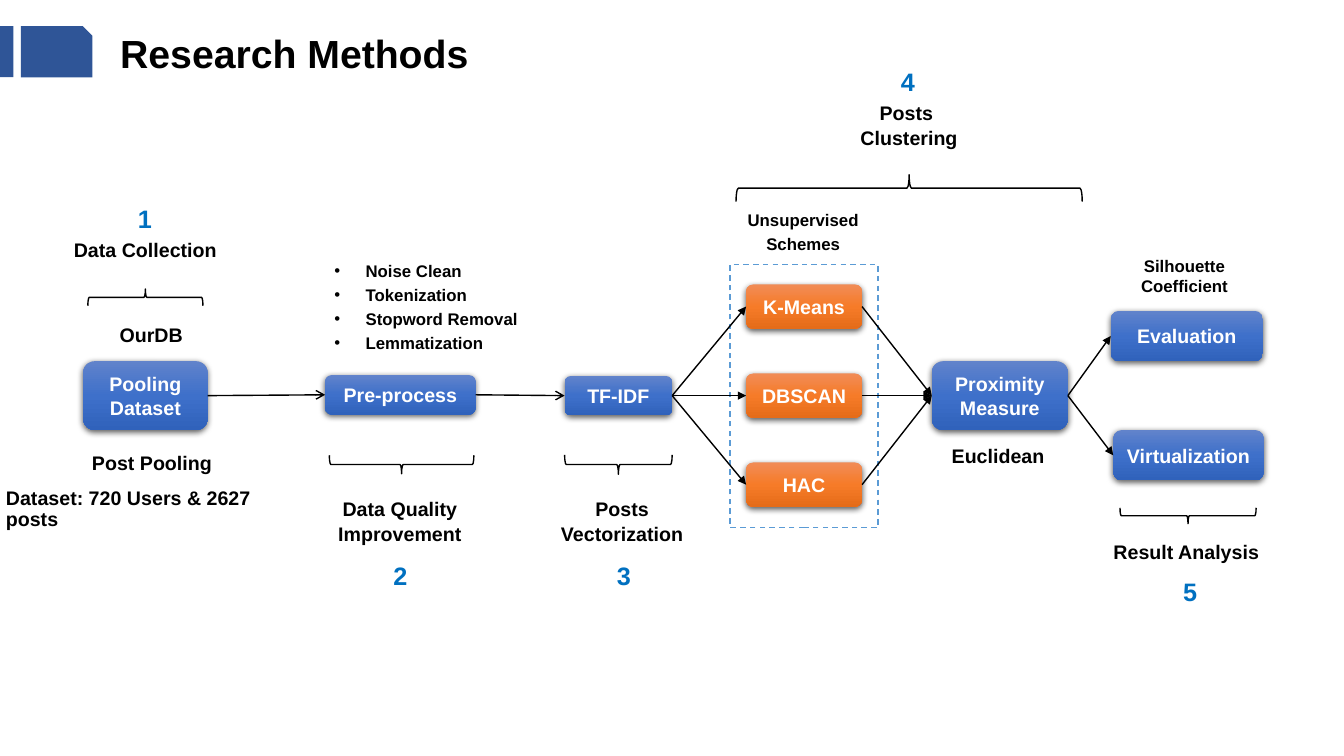
from dataclasses import dataclass

from lxml import etree
from pptx import Presentation
from pptx.dml.color import RGBColor
from pptx.enum.dml import MSO_LINE
from pptx.enum.shapes import MSO_CONNECTOR, MSO_SHAPE
from pptx.enum.text import MSO_ANCHOR, MSO_AUTO_SIZE, PP_ALIGN
from pptx.oxml.ns import qn
from pptx.util import Inches, Pt

# The slide is a grid of 160 columns by 90 rows of square cells.
SLIDE_WIDTH, SLIDE_HEIGHT = Inches(13.33), Inches(7.5)
CELL = SLIDE_HEIGHT / 90
AXIS = 47.1  # row on which the main flow runs
SCHEME_STEP = 10.6  # rows between clustering schemes
FONT = "Arial"
COLORS = {"black": "000000", "white": "FFFFFF", "number": "0070C0",
          "header": "2F5597", "frame": "5B9BD5"}
GRADIENTS = {"blue": ("6183CB", "3E70CA", "3062BB"),
             "orange": ("F18C57", "F67B28", "E56C19")}


@dataclass
class Node:
    """A rounded step of the flow, placed by its left edge and middle row."""
    text: str
    left: float
    middle: float
    width: float
    height: float
    gradient: str = "blue"


@dataclass
class Brace:
    """A horizontal brace, placed by its centre."""
    x: float
    y: float
    span: float
    depth: float
    up: bool = False


@dataclass
class Label:
    """A bold caption; each line of text is one paragraph, \\v breaks a line."""
    text: str
    left: float
    top: float
    width: float
    height: float
    size: int = 14
    color: str = "black"
    spacing: float = 1.07
    after: float = 0
    align: PP_ALIGN = PP_ALIGN.CENTER


NODES = [
    Node("Pooling Dataset", 9.9, AXIS, 14.8, 8.2),
    Node("Pre-process", 38.7, AXIS - 0.1, 17.9, 4.7),
    Node("TF-IDF", 67.2, AXIS, 12.8, 4.7),
    *(Node(name, 88.8, AXIS + step * SCHEME_STEP, 13.8, 5.3, "orange")
      for step, name in enumerate(("K-Means", "DBSCAN", "HAC"), start=-1)),
    Node("Proximity Measure", 110.9, AXIS, 16.2, 8.2),
    Node("Evaluation", 132.2, 40, 18.1, 6),
    Node("Virtualization", 132.5, 54.2, 17.9, 6),
]
OPEN_LINKS = [("Pooling Dataset", "Pre-process"), ("Pre-process", "TF-IDF")]
SOLID_LINKS = [link for name in ("K-Means", "DBSCAN", "HAC")
               for link in (("TF-IDF", name), (name, "Proximity Measure"))]
SOLID_LINKS += [("Proximity Measure", "Evaluation"),
                ("Proximity Measure", "Virtualization")]
BRACES = [
    Brace(17.3, 35.4, 13.7, 2, up=True),
    Brace(47.8, 55.3, 17.2, 2.2),
    Brace(73.6, 55.3, 12.8, 2.3),
    Brace(108.2, 22.4, 41.2, 3.2, up=True),
    Brace(141.4, 61.4, 16.2, 1.9),
]
LABELS = [
    Label("Data Collection", 4.7, 27.5, 25.2, 4.2),
    Label("OurDB", 12.8, 37.6, 10.4, 4.2),
    Label("Post Pooling", 9.1, 52.9, 18, 4.2),
    Label("Dataset: 720 Users & 2627 posts", 0.7, 57.6, 32, 3.7,
          spacing=0.9, align=PP_ALIGN.LEFT),
    Label("Data Quality\nImprovement", 31.3, 58.4, 32.6, 7.2),
    Label("Posts\vVectorization", 65.6, 58.4, 16.9, 7.2),
    Label("Posts \vClustering", 91.9, 11.2, 32.6, 7.2),
    Label("Unsupervised\nSchemes", 87.8, 24.6, 15.6, 6.5, 12,
          spacing=0.9, after=4.8),
    Label("Euclidean", 112.1, 52.2, 13.4, 4.1, spacing=1),
    Label("Silhouette \vCoefficient\u00a0", 134.6, 29.8, 13.3, 6, 12, spacing=1),
    Label("Result Analysis", 124.9, 63.5, 32.6, 4.2),
]
NUMBER_SPOTS = [(15.2, 23.4), (45.6, 65.9), (72.2, 65.9), (106, 7), (139.6, 67.8)]
LABELS += [Label(str(number), left, top, 4.1, 4.8, 18, "number")
           for number, (left, top) in enumerate(NUMBER_SPOTS, start=1)]
CLEANING_STEPS = "Noise Clean\nTokenization\nStopword Removal\nLemmatization"


def cells(*counts: float) -> list[int]:
    """Turn grid cells into slide lengths."""
    return [round(count * CELL) for count in counts]


def rgb(name: str) -> RGBColor:
    """Look up a named colour."""
    return RGBColor.from_string(COLORS[name])


def add_xml(parent, tag: str, **attributes):
    """Append a drawing element with the given attributes."""
    return etree.SubElement(parent, qn(f"a:{tag}"), attributes)


def write(frame, text: str, size: int, color: str, align: PP_ALIGN,
          spacing: float = 1, after: float = 0) -> None:
    """Fill a text frame with bold paragraphs."""
    frame.text = text
    for paragraph in frame.paragraphs:
        paragraph.alignment = align
        paragraph.line_spacing = spacing
        paragraph.space_before, paragraph.space_after = Pt(0), Pt(after)
        for run in paragraph.runs:
            run.font.name, run.font.size, run.font.bold = FONT, Pt(size), True
            run.font.color.rgb = rgb(color)


def fill_placeholder(holder, label: Label) -> None:
    """Move a template placeholder onto the grid and write its text."""
    holder.left, holder.top, holder.width, holder.height = cells(
        label.left, label.top, label.width, label.height)
    frame = holder.text_frame
    frame.auto_size, frame.vertical_anchor = MSO_AUTO_SIZE.NONE, MSO_ANCHOR.TOP
    write(frame, label.text, label.size, label.color, label.align,
          label.spacing, label.after)


def add_bullets(frame) -> None:
    """Give each paragraph a round bullet and a hanging indent."""
    indent = Inches(0.31)
    for paragraph in frame.paragraphs:
        properties = paragraph._p.get_or_add_pPr()
        properties.set("marL", str(indent))
        properties.set("indent", str(-indent))
        add_xml(properties, "buFont", typeface=FONT)
        add_xml(properties, "buChar", char="•")


def add_plain(shapes, kind: MSO_SHAPE, box: list[int], fill: str = "", line: str = ""):
    """Add a shadowless preset shape with an optional fill and outline."""
    shape = shapes.add_shape(kind, *box)
    shape.shadow.inherit = False
    if fill:
        shape.fill.solid()
        shape.fill.fore_color.rgb = rgb(fill)
    else:
        shape.fill.background()
    if line:
        shape.line.color.rgb, shape.line.width = rgb(line), Pt(1)
    else:
        shape.line.fill.background()
    return shape


def add_node(shapes, node: Node):
    """Draw a flow step with a vertical gradient and a soft shadow."""
    shape = add_plain(shapes, MSO_SHAPE.ROUNDED_RECTANGLE, cells(
        node.left, node.middle - node.height / 2, node.width, node.height))
    shape.fill.gradient()
    shape.fill.gradient_angle = 270
    stops = shape.element.spPr.find(f".//{qn('a:gsLst')}")
    for stop in list(stops):
        stops.remove(stop)
    for index, color in enumerate(GRADIENTS[node.gradient]):
        add_xml(add_xml(stops, "gs", pos=str(index * 50000)), "srgbClr", val=color)
    effects = shape.element.spPr.find(qn("a:effectLst"))
    shadow = add_xml(effects, "outerShdw", blurRad=str(Pt(4.5)), dist=str(Pt(1.5)),
                     dir="5400000", algn="ctr", rotWithShape="0")
    add_xml(add_xml(shadow, "srgbClr", val=COLORS["black"]), "alpha", val="63000")
    shape.text_frame.word_wrap = True
    shape.text_frame.vertical_anchor = MSO_ANCHOR.MIDDLE
    write(shape.text_frame, node.text, 14, "white", PP_ALIGN.CENTER)
    return shape


def add_link(shapes, start, end, head: str) -> None:
    """Join the right side of one step to the left side of the next."""
    link = shapes.add_connector(MSO_CONNECTOR.STRAIGHT, 0, 0, 0, 0)
    link.begin_connect(start, 3)
    link.end_connect(end, 1)
    link.line.color.rgb, link.line.width = rgb("black"), Pt(1)
    add_xml(link.line._get_or_add_ln(), "tailEnd", type=head)
    add_xml(link.element.spPr, "effectLst")


def add_brace(shapes, brace: Brace) -> None:
    """Draw a left brace turned to point up or down."""
    box = cells(brace.x - brace.depth / 2, brace.y - brace.span / 2,
                brace.depth, brace.span)
    shape = add_plain(shapes, MSO_SHAPE.LEFT_BRACE, box, line="black")
    shape.rotation = 90 if brace.up else 270


def add_label(shapes, label: Label) -> None:
    """Add a caption as a text box without side margins."""
    frame = shapes.add_textbox(*cells(label.left, label.top, label.width,
                                      label.height)).text_frame
    frame.word_wrap = True
    frame.margin_left = frame.margin_right = 0
    write(frame, label.text, label.size, label.color, label.align,
          label.spacing, label.after)


def build() -> None:
    """Build and save the slide."""
    deck = Presentation()
    deck.slide_width, deck.slide_height = SLIDE_WIDTH, SLIDE_HEIGHT
    slide = deck.slides.add_slide(deck.slide_layouts[1])
    shapes = slide.shapes
    fill_placeholder(shapes.title, Label("Research Methods", 13.1, 2.9, 50, 6.8, 28,
                                         spacing=1, align=PP_ALIGN.LEFT))
    body = slide.placeholders[1]
    fill_placeholder(body, Label(CLEANING_STEPS, 38.6, 30.7, 24.5, 12.5, 12,
                                 spacing=0.9, after=4.2, align=PP_ALIGN.LEFT))
    add_bullets(body.text_frame)
    add_plain(shapes, MSO_SHAPE.RECTANGLE, cells(0, 3.1, 1.6, 6.1), "header")
    tab = add_plain(shapes, MSO_SHAPE.SNIP_1_RECTANGLE, cells(2.5, 3.1, 8.5, 6.1),
                    "header")
    tab.adjustments[0] = 0.19
    frame = add_plain(shapes, MSO_SHAPE.RECTANGLE, cells(86.9, 31.5, 17.6, 31.3),
                      line="frame")
    frame.line.dash_style = MSO_LINE.DASH
    steps = {node.text: add_node(shapes, node) for node in NODES}
    for head, links in (("arrow", OPEN_LINKS), ("triangle", SOLID_LINKS)):
        for start, end in links:
            add_link(shapes, steps[start], steps[end], head)
    for brace in BRACES:
        add_brace(shapes, brace)
    for label in LABELS:
        add_label(shapes, label)
    deck.save("out.pptx")


build()
